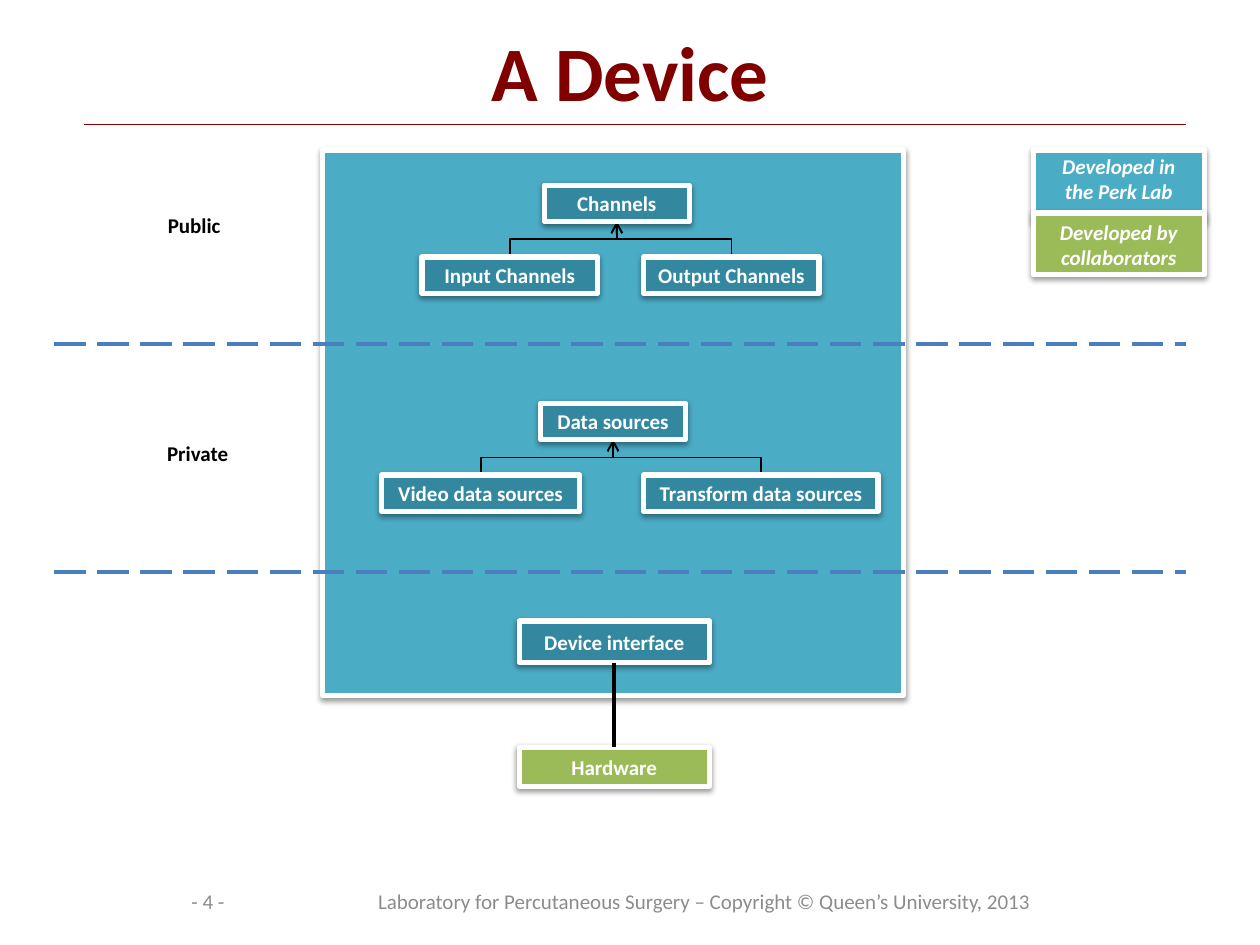
from lxml import etree
from pptx import Presentation
from pptx.dml.color import RGBColor
from pptx.enum.dml import MSO_LINE as Dash
from pptx.enum.shapes import MSO_CONNECTOR as Conn, MSO_SHAPE as Kind
from pptx.enum.text import MSO_ANCHOR as Anchor, PP_ALIGN as Align
from pptx.oxml import parse_xml
from pptx.oxml.ns import nsdecls, qn
from pptx.util import Inches, Pt

WHITE = RGBColor(0xFF, 0xFF, 0xFF)
BLACK = RGBColor(0, 0, 0)
MAROON = RGBColor(0x80, 0, 0)
GRAY = RGBColor(0x8C, 0x8C, 0x8C)
AQUA = RGBColor(0x4B, 0xAC, 0xC6)
TEAL = RGBColor(0x33, 0x88, 0x9F)
GREEN = RGBColor(0x9B, 0xBB, 0x59)
BLUE = RGBColor(0x4B, 0x7E, 0xBC)

SHADE = (
    f'<a:effectLst {nsdecls("a")}><a:outerShdw blurRad="40000" dist="20000" '
    'dir="5400000" rotWithShape="0"><a:srgbClr val="000000">'
    '<a:alpha val="38000"/></a:srgbClr></a:outerShdw></a:effectLst>'
)


def write(shape, text, color, size=12, bold=True, italic=False,
          align=Align.CENTER, anchor=Anchor.MIDDLE, wrap=True):
    frame = shape.text_frame
    frame.word_wrap = wrap
    frame.vertical_anchor = anchor
    para = frame.paragraphs[0]
    para.text = text
    para.alignment = align
    font = para.font
    font.name, font.size = "Calibri", Pt(size)
    font.bold, font.italic = bold, italic
    font.color.rgb = color


def label(slide, box, text, color, **style):
    write(slide.shapes.add_textbox(*map(Inches, box)), text, color, **style)


def block(slide, box, fill, text=None):
    shape = slide.shapes.add_shape(Kind.RECTANGLE, *map(Inches, box))
    shape.fill.solid()
    shape.fill.fore_color.rgb = fill
    shape.line.color.rgb = WHITE
    shape.line.width = Pt(3)
    shape._element.spPr.append(parse_xml(SHADE))
    if text:
        write(shape, text, WHITE)
    return shape


def rule(slide, ends, color, width, kind=Conn.STRAIGHT):
    line = slide.shapes.add_connector(kind, *map(Inches, ends))
    line.line.color.rgb = color
    line.line.width = Pt(width)
    etree.SubElement(line._element.spPr, qn("a:effectLst"))
    return line


def branch(slide, panel, child, parent):
    x1, y1 = child.left + child.width // 2, child.top
    x2, y2 = parent.left + parent.width // 2, parent.top + parent.height
    line = rule(slide, (0, 0, 0, 0), BLACK, 1, Conn.ELBOW)
    line.begin_connect(child, 0)
    line.end_connect(parent, 2)
    rise, run = y1 - y2, abs(x2 - x1)
    line.left, line.top = (x1 + x2 - rise) // 2, (y1 + y2 - run) // 2
    line.width, line.height = rise, run
    form = line._element.spPr.find(qn("a:xfrm"))
    form.set("rot", "5400000" if x1 < x2 else "16200000")
    form.set("flipH", "1" if x1 < x2 else "0")
    form.set("flipV", "1")
    etree.SubElement(line.line._get_or_add_ln(), qn("a:tailEnd"), type="arrow")
    panel._element.addnext(line._element)


def family(slide, box, panel, head, kids):
    left, top, width, high = box
    name, shift, wide = head
    parent = block(slide, (left + shift, top, wide, high), TEAL, name)
    for text, shift, wide in kids:
        child = block(slide, (left + shift, top + 0.57, wide, high), TEAL, text)
        branch(slide, panel, child, parent)


def device(slide, box):
    left, top, width, high = box
    panel = block(slide, box, AQUA)
    for drop in (1.54, 3.35):
        line = rule(slide, (0.43, top + drop, 9.41, top + drop), BLUE, 2.25)
        line.line.dash_style = Dash.LONG_DASH
    family(slide, (left, top + 0.28, width, 0.29), panel,
           ("Channels", 1.76, 1.15),
           [("Input Channels", 0.79, 1.39), ("Output Channels", 2.55, 1.39)])
    family(slide, (left, top + 2.01, width, 0.29), panel,
           ("Data sources", 1.73, 1.15),
           [("Video data sources", 0.47, 1.57),
            ("Transform data sources", 2.55, 1.86)])
    face = block(slide, (left + 1.56, top + 3.74, 1.51, 0.33), TEAL,
                 "Device interface")
    ware = block(slide, (left + 1.56, top + 4.74, 1.51, 0.31), GREEN, "Hardware")
    wire = rule(slide, (0, 0, 0, 0), BLACK, 2.5)
    wire.begin_connect(face, 2)
    wire.end_connect(ware, 0)


def zones(slide, box):
    left, top, width, high = box
    for text, drop, wide in (("Public", 0, 0.63), ("Private", 1.81, 0.69)):
        label(slide, (left, top + drop, wide, high), text, BLACK,
              align=Align.RIGHT, anchor=Anchor.TOP, wrap=False)


def legend(slide, box):
    left, top, width, high = box
    rows = [("Developed in the Perk Lab", AQUA, 0, 0.56, -0.02),
            ("Developed by collaborators", GREEN, 0.5, 0.49, 0)]
    for text, fill, drop, tall, lift in rows:
        block(slide, (left, top + drop, width, tall), fill)
        label(slide, (left, top + drop + lift, width, 0.48), text, WHITE,
              italic=True, anchor=Anchor.TOP)


def header(slide, box):
    rule(slide, (0.67, 0.99, 9.41, 0.99), MAROON, 0.75)
    label(slide, box, "A Device", MAROON, size=44)


def footer(slide, box):
    left, top, width, high = box
    label(slide, (left, top, 1.02, high), "- 4 -", GRAY, bold=False)
    label(slide, (left + 1.18, top, width - 1.18, high),
          "Laboratory for Percutaneous Surgery – Copyright © "
          "Queen’s University, 2013", GRAY, bold=False)


def main():
    deck = Presentation()
    deck.slide_width, deck.slide_height = Inches(10), Inches(7.5)
    slide = deck.slides.add_slide(deck.slide_layouts[6])
    header(slide, (0, 0, 10, 1.13))
    footer(slide, (1.14, 6.95, 7.72, 0.4))
    device(slide, (2.56, 1.19, 4.61, 4.33))
    zones(slide, (1.22, 1.64, 0.69, 0.3))
    legend(slide, (8.2, 1.19, 1.36, 0.99))
    deck.save("out.pptx")


if __name__ == "__main__":
    main()
